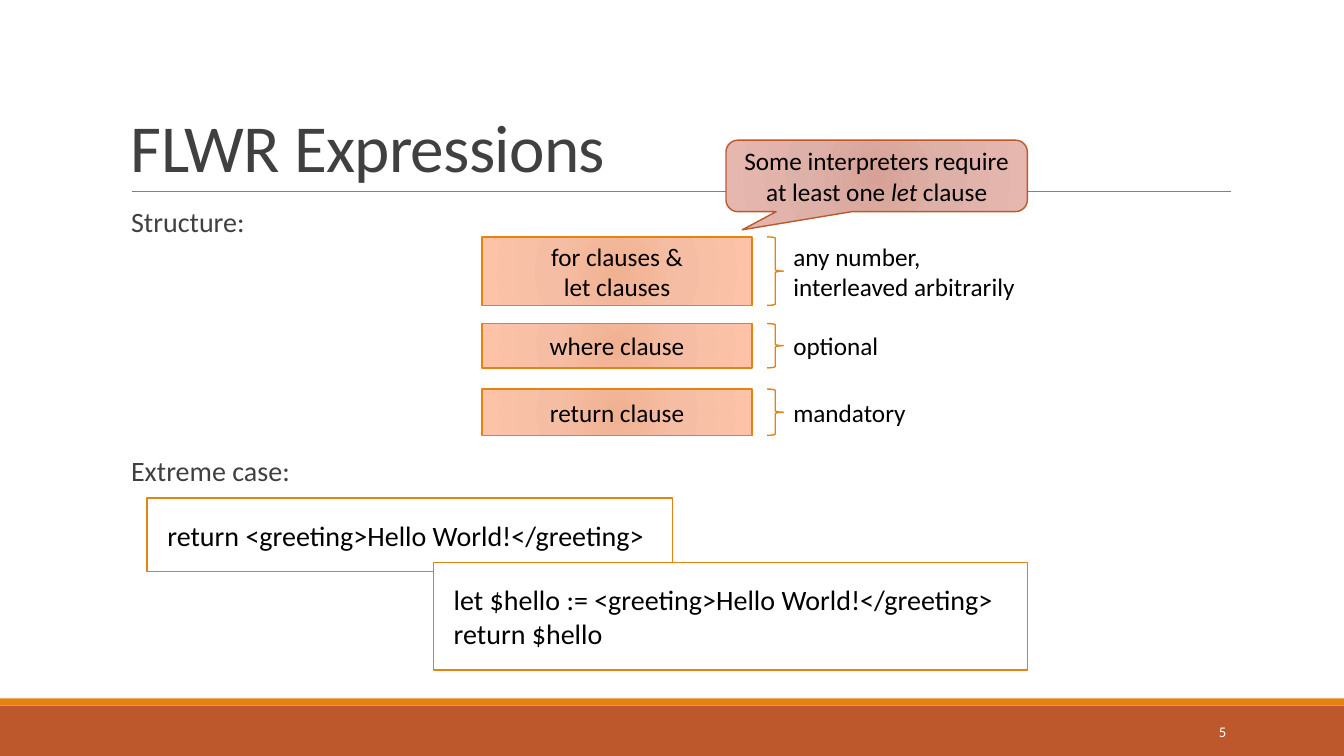
from pptx import Presentation
from pptx.dml.color import RGBColor
from pptx.enum.shapes import MSO_CONNECTOR, MSO_SHAPE as Preset
from pptx.enum.text import MSO_ANCHOR as Anchor, PP_ALIGN as Align
from pptx.oxml import parse_xml
from pptx.oxml.ns import nsdecls
from pptx.util import Inches, Pt

COLORS = {
    "title": "404040", "text": "000000", "white": "FFFFFF", "rule": "808080",
    "orange": "E48312", "rust": "BD582C",
}
GRADIENTS = {
    "clause": ("F0B191", "F5BEA4", "FDC3A8"),
    "callout": ("D7A197", "DEB1A8", "E6B7AE"),
}
STOPS = (0, 45, 100)


def rgb(name):
    return RGBColor.from_string(COLORS[name])


def fill_radial(shape, name):
    """Replace the solid fill by a circular gradient."""
    shape.fill.solid()
    stops = "".join(
        f'<a:gs pos="{stop * 1000}"><a:srgbClr val="{color}"/></a:gs>'
        for stop, color in zip(STOPS, GRADIENTS[name]))
    gradient = parse_xml(
        f'<a:gradFill {nsdecls("a")} rotWithShape="1"><a:gsLst>{stops}</a:gsLst>'
        '<a:path path="circle"><a:fillToRect l="100000" t="100000" r="100000" '
        'b="100000"/></a:path></a:gradFill>')
    props = shape.fill._xPr
    props.replace(props.solidFill, gradient)


def add_box(page, box, preset=Preset.RECTANGLE, fill=None, line=None, width=1):
    shape = page.shapes.add_shape(preset, *map(Inches, box))
    shape.shadow.inherit = False
    if fill in GRADIENTS:
        fill_radial(shape, fill)
    elif fill:
        shape.fill.solid()
        shape.fill.fore_color.rgb = rgb(fill)
    else:
        shape.fill.background()
    if line:
        shape.line.color.rgb = rgb(line)
        shape.line.width = Pt(width)
    else:
        shape.line.fill.background()
    return shape


def add_label(page, box):
    return page.shapes.add_textbox(*map(Inches, box))


def write(shape, paras, size=18, color="text", wrap=True, anchor=Anchor.MIDDLE,
          inset=(0.1, 0.05), spacing=0, **para_format):
    """Each paragraph is a list of (text, italic); a newline is a line break."""
    frame = shape.text_frame
    across, down = map(Inches, inset)
    frame_format = {
        "word_wrap": wrap, "vertical_anchor": anchor,
        "margin_left": across, "margin_right": across,
        "margin_top": down, "margin_bottom": down,
    }
    for key, value in frame_format.items():
        setattr(frame, key, value)
    for index, spans in enumerate(paras):
        para = frame.add_paragraph() if index else frame.paragraphs[0]
        for key, value in ({"alignment": Align.LEFT} | para_format).items():
            setattr(para, key, value)
        for text, italic in spans:
            for row, words in enumerate(text.split("\n")):
                if row:
                    para.add_line_break()
                span = para.add_run()
                span.text = words
                font_format = {"name": "Calibri", "size": Pt(size), "italic": italic}
                for key, value in font_format.items():
                    setattr(span.font, key, value)
                span.font.color.rgb = rgb(color)
                if spacing:
                    span.font._element.set("spc", str(spacing))


def plain(*texts):
    return [[(text, False)] for text in texts]


def add_footer(page, box, number):
    left, top, width, height = box
    stripe = 0.07
    add_box(page, (left, top + stripe, width, height - stripe), fill="rust")
    add_box(page, (left, top, width, stripe), fill="orange")
    write(add_label(page, (left + 10.83, top + 0.13, 1.43, 0.4)), plain(number),
          size=10.5, color="white", alignment=Align.RIGHT)


def add_title(page, box, text):
    left, top, width, height = box
    bottom = top + height
    rule = page.shapes.add_connector(
        MSO_CONNECTOR.STRAIGHT, Inches(left + 0.11), Inches(bottom),
        Inches(left + width + 0.01), Inches(bottom))
    rule.line.color.rgb = rgb("rule")
    rule.line.width = Pt(0.5)
    rule._element.spPr.append(parse_xml(f'<a:effectLst {nsdecls("a")}/>'))
    write(add_label(page, box), plain(text), size=48, color="title",
          anchor=Anchor.BOTTOM, spacing=-50, line_spacing=0.85)


def add_heading(page, box, text):
    write(add_label(page, box), plain(text), size=20, color="title",
          anchor=Anchor.TOP, inset=(0, 0.05), line_spacing=0.9)


def add_clause(page, box, clause, note, note_width):
    """A clause block, its brace and the note beside it."""
    left, top, width, height = box
    block = add_box(page, box, fill="clause", line="orange")
    write(block, plain(clause), alignment=Align.CENTER)
    brace_left = left + width + 0.15
    add_box(page, (brace_left, top, 0.16, height), Preset.RIGHT_BRACE, line="orange")
    label = add_label(page, (brace_left + 0.16, top, note_width, height))
    write(label, plain(note), wrap=False)


def add_code(page, box, *lines):
    shape = add_box(page, box, fill="white", line="orange", width=1.25)
    write(shape, plain(*lines), size=20, anchor=Anchor.TOP, inset=(0.2, 0.2))


def add_callout(page, box, spans):
    shape = add_box(page, box, Preset.ROUNDED_RECTANGULAR_CALLOUT, "callout", "rust")
    for index, value in enumerate((-0.446, 0.754, 0.167)):
        shape.adjustments[index] = value
    write(shape, [spans], alignment=Align.CENTER)


def main():
    deck = Presentation()
    deck.slide_width, deck.slide_height = Inches(13.33), Inches(7.5)
    page = deck.slides.add_slide(deck.slide_layouts[6])

    # Frame of the slide
    add_footer(page, (0, 6.93, 13.33, 0.57), "5")
    add_title(page, (1.2, 0.31, 11, 1.59), "FLWR Expressions")

    # Structure of an expression
    add_heading(page, (1.3, 2.02, 3, 0.4), "Structure:")
    clauses = [
        (2.35, 0.68, "for clauses &\nlet clauses",
         "any number,\ninterleaved arbitrarily", 2.42),
        (3.21, 0.44, "where clause", "optional", 1.05),
        (3.86, 0.46, "return clause", "mandatory", 1.33),
    ]
    for top, height, clause, note, note_width in clauses:
        add_clause(page, (4.78, top, 2.68, height), clause, note, note_width)

    # Extreme case
    add_heading(page, (1.3, 4.49, 3, 0.4), "Extreme case:")
    add_code(page, (1.46, 4.94, 5.21, 0.73), "return <greeting>Hello World!</greeting>")
    add_callout(page, (7.2, 1.39, 2.99, 0.71), [
        ("Some interpreters require at least one ", False),
        ("let ", True), ("clause", False)])
    add_code(page, (4.3, 5.58, 5.89, 1.07),
             "let $hello := <greeting>Hello World!</greeting>", "return $hello")

    deck.save("out.pptx")


if __name__ == "__main__":
    main()
